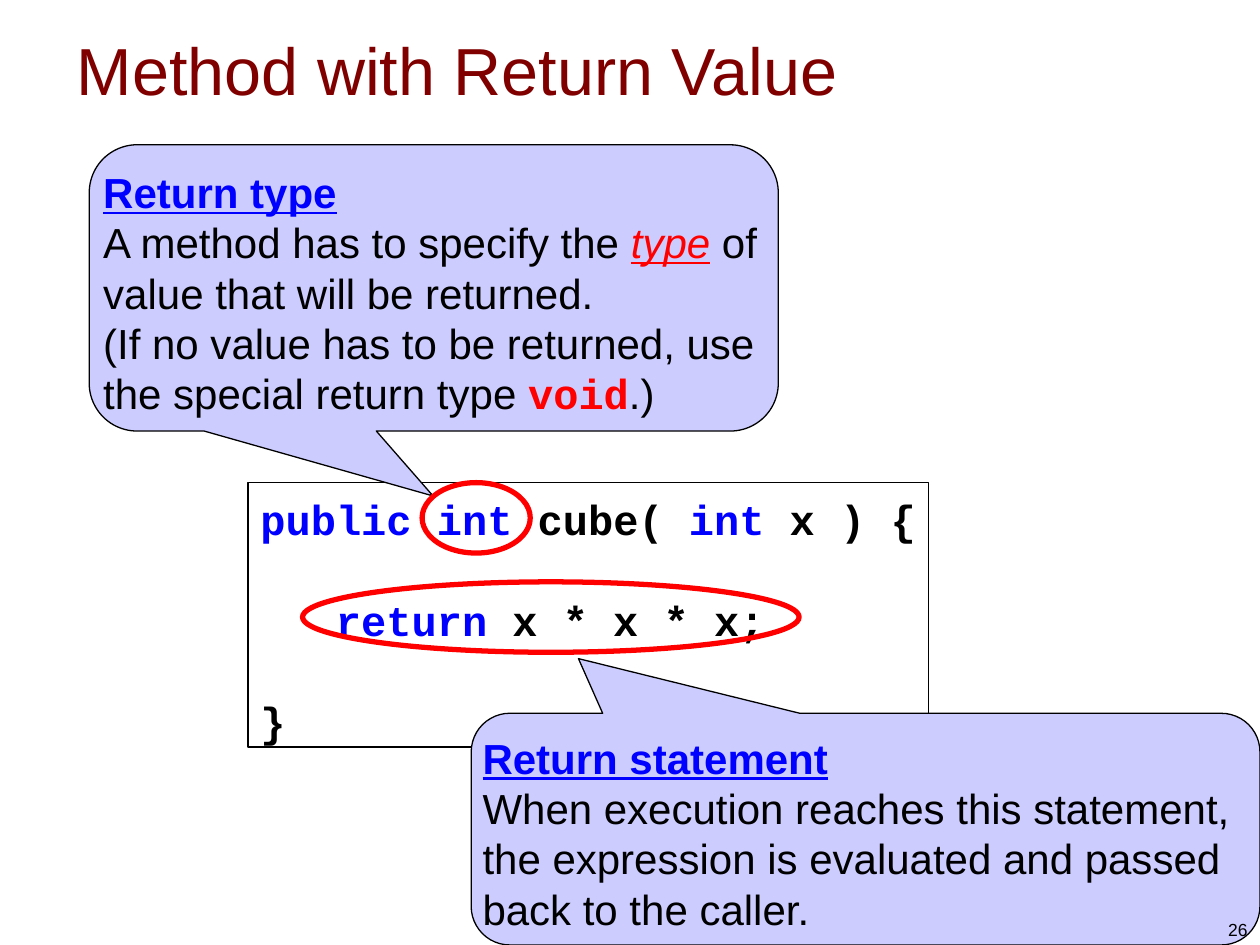
from dataclasses import dataclass

from pptx import Presentation
from pptx import util as u
from pptx.dml.color import RGBColor
from pptx.enum import shapes, text


@dataclass(frozen=True)
class Theme:
    black: str = "000000"
    maroon: str = "800000"
    blue: str = "0000FF"
    red: str = "FF0000"
    lilac: str = "CCCCFF"
    sans: str = "Arial"
    mono: str = "Courier New"
    title: int = 38
    body: int = 24
    small: int = 10
    thin: float = 0.75
    thick: float = 3
    lead: float = 1.2


T = Theme()
PLAIN = dict(name=T.sans, color=T.black)
HEAD = dict(name=T.sans, color=T.blue, bold=True, underline=True)
TERM = dict(name=T.sans, color=T.red, italic=True, underline=True)
WORD = dict(name=T.mono, color=T.red, bold=True)
CODE = dict(name=T.mono, color=T.black, bold=True)
KEY = dict(CODE, color=T.blue)


def style(font, size, form):
    font.size = u.Pt(size)
    for key, val in form.items():
        if key == "color":
            font.color.rgb = RGBColor.from_string(val)
        else:
            setattr(font, key, val)


def write(shape, paras, size, gap=0, **form):
    frame = shape.text_frame
    base = dict(
        word_wrap=True,
        vertical_anchor=text.MSO_ANCHOR.TOP,
        margin_left=u.Cm(0.25),
        margin_right=u.Cm(0.25),
        margin_top=u.Cm(0.13),
        margin_bottom=u.Cm(0.13),
    )
    for key, val in {**base, **form}.items():
        setattr(frame, key, val)
    for i, runs in enumerate(paras):
        para = frame.add_paragraph() if i else frame.paragraphs[0]
        para.alignment = text.PP_ALIGN.LEFT
        para.line_spacing = u.Pt(size * T.lead)
        if i and gap:
            para.space_before = u.Pt(gap)
        for words, look in runs:
            run = para.add_run()
            run.text = words
            style(run.font, size, look)
    return frame


def label(slide, box, words, size, color, **form):
    shape = slide.shapes.add_textbox(*map(u.Cm, box))
    look = dict(PLAIN, color=color)
    return write(shape, [[(words, look)]], size, **form)


def draw(slide, kind, box, line, width, fill=None):
    shape = slide.shapes.add_shape(kind, *map(u.Cm, box))
    shape.shadow.inherit = False
    if fill:
        shape.fill.solid()
        shape.fill.fore_color.rgb = RGBColor.from_string(fill)
    else:
        shape.fill.background()
    shape.line.color.rgb = RGBColor.from_string(line)
    shape.line.width = u.Pt(width)
    return shape


def listing(slide, box, lines):
    shape = draw(slide, shapes.MSO_SHAPE.RECTANGLE, box, T.black, T.thin)
    write(shape, lines, T.body, gap=T.body * T.lead,
          word_wrap=False, margin_top=u.Cm(0.22))


def callout(slide, box, tip, paras):
    kind = shapes.MSO_SHAPE.ROUNDED_RECTANGULAR_CALLOUT
    shape = draw(slide, kind, box, T.black, T.thin, T.lilac)
    for i, val in enumerate((*tip, 0.167)):
        shape.adjustments[i] = val
    write(shape, paras, T.body, margin_left=0, margin_right=0,
          margin_top=u.Cm(0.15))


def ring(slide, box):
    draw(slide, shapes.MSO_SHAPE.OVAL, box, T.red, T.thick)


def main():
    deck = Presentation()
    deck.slide_width, deck.slide_height = u.Cm(25.4), u.Cm(19.05)
    slide = deck.slides.add_slide(deck.slide_layouts[6])

    label(slide, (1.3, 0.46, 22.86, 3.18), "Method with Return Value",
          T.title, T.maroon)
    listing(slide, (5, 9.73, 13.72, 5.33), [
        [("public int", KEY), (" cube( ", CODE), ("int", KEY),
         (" x ) {", CODE)],
        [("   ", CODE), ("return", KEY), (" x * x * x;", CODE)],
        [("}", CODE)],
    ])
    callout(slide, (1.8, 2.92, 13.89, 5.77), (-0.001, 0.727), [
        [("Return type", HEAD)],
        [("A method has to specify the ", PLAIN), ("type", TERM),
         (" of value that will be returned.", PLAIN)],
        [("(If no value has to be returned, use the special return type ",
          PLAIN), ("void", WORD), (".)", PLAIN)],
    ])
    callout(slide, (9.5, 14.38, 15.9, 4.67), (-0.364, -0.736), [
        [("Return statement", HEAD)],
        [("When execution reaches this statement, the expression is "
          "evaluated and passed back to the caller.", PLAIN)],
    ])
    for box in ((8.51, 9.73, 2.18, 1.42), (6.1, 11.73, 10.01, 1.42)):
        ring(slide, box)
    page = label(slide, (19.48, 17.81, 5.92, 1.27), "26", T.small, T.black,
                 vertical_anchor=text.MSO_ANCHOR.BOTTOM)
    page.paragraphs[0].alignment = text.PP_ALIGN.RIGHT

    deck.save("out.pptx")


if __name__ == "__main__":
    main()
